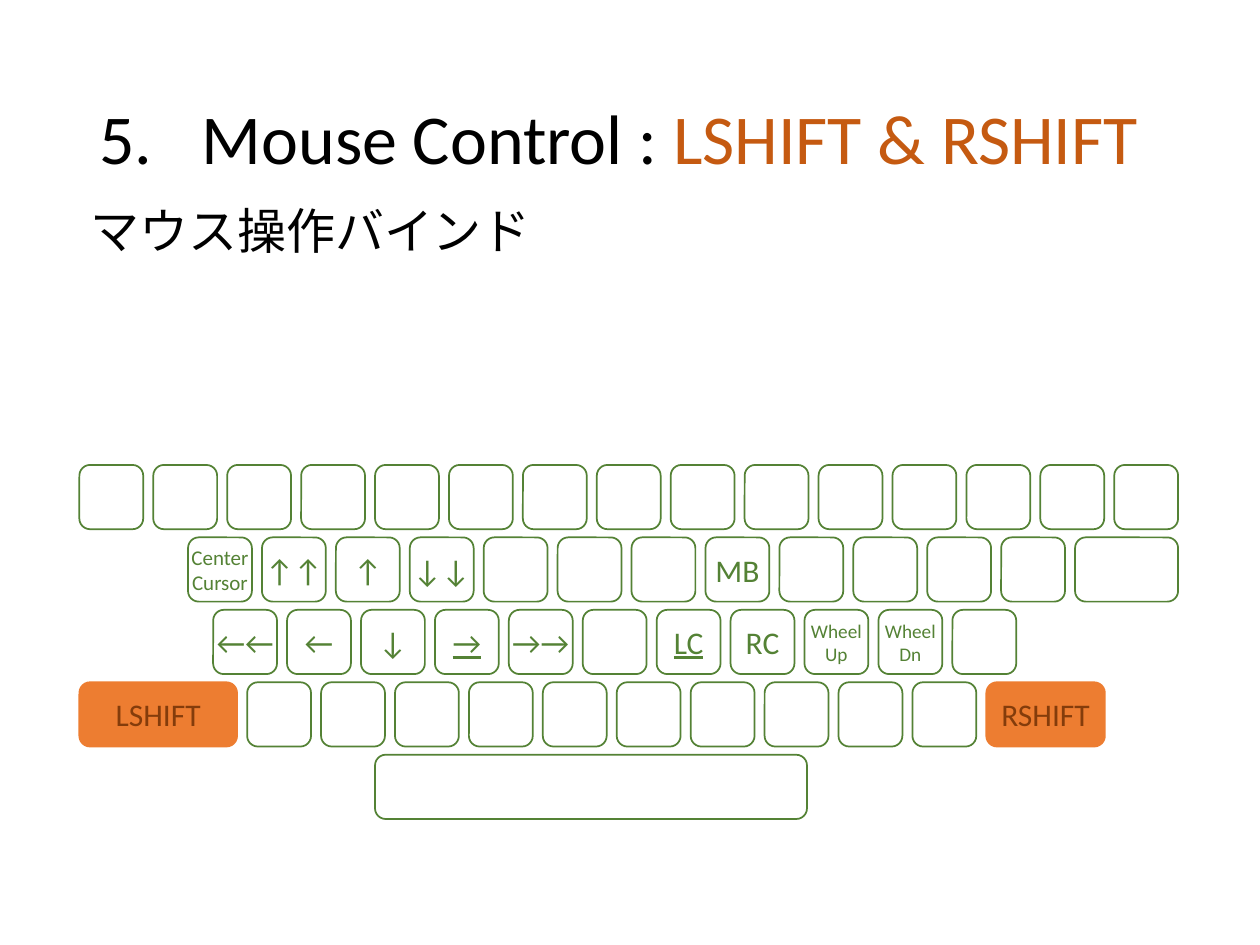
from dataclasses import dataclass

import pptx
import pptx.dml.color
import pptx.enum.shapes
import pptx.enum.text
import pptx.oxml
import pptx.oxml.ns
import pptx.util

GREEN, ORANGE, BROWN = "548235", "ED7D31", "843C0B"
BLACK, RUST = "000000", "C55A11"
WIDE, HIGH = 10, 7.5

# Keyboard grid: 15 columns, with a gap inside each cell
LEFT, TOP = 0.63, 3.69
COL, ROW = 8.8 / 15, 0.575
GAP, TALL = 0.08, 0.51

Inch = pptx.util.Inches
Align = pptx.enum.text.PP_ALIGN
Fit = pptx.enum.text.MSO_AUTO_SIZE


@dataclass
class Key:
    text: str = ""
    cols: float = 1
    size: float = 18
    line: bool = False
    shift: bool = False


@dataclass
class Row:
    start: float
    keys: list[Key]


def blank(count: int) -> list[Key]:
    return [Key() for _ in range(count)]


ROWS = [
    Row(0, blank(15)),
    Row(1.47, [Key("Center\nCursor", size=12), Key("↑↑"), Key("↑"), Key("↓↓"),
               *blank(3), Key("MB"), *blank(4), Key(cols=1.53)]),
    Row(1.81, [Key("←←"), Key("←"), Key("↓"), Key("→", line=True), Key("→→"),
               *blank(1), Key("LC", line=True), Key("RC"),
               Key("Wheel\nUp", size=11), Key("Wheel\nDn", size=11), *blank(1)]),
    Row(0, [Key("LSHIFT", 2.27, shift=True), *blank(10),
            Key("RSHIFT", 1.74, shift=True)]),
    Row(4, [Key(cols=5.98)]),
]


def paint(code: str) -> pptx.dml.color.RGBColor:
    return pptx.dml.color.RGBColor.from_string(code)


def add_run(para, text: str, size: float, code: str, line: bool = False) -> None:
    run = para.add_run()
    run.text = text
    run.font.name = "Calibri"
    run.font.size = pptx.util.Pt(size)
    run.font.color.rgb = paint(code)
    if line:
        run.font.underline = True


def draw_key(slide, key: Key, col: float, row: int) -> None:
    box = slide.shapes.add_shape(
        pptx.enum.shapes.MSO_SHAPE.ROUNDED_RECTANGLE,
        Inch(LEFT + col * COL), Inch(TOP + row * ROW),
        Inch(key.cols * COL - GAP), Inch(TALL))
    box.shadow.inherit = False
    box.line.color.rgb = paint(ORANGE if key.shift else GREEN)
    box.line.width = pptx.util.Pt(1)
    if key.shift:
        box.fill.solid()
        box.fill.fore_color.rgb = paint(ORANGE)
    else:
        box.fill.background()
    if not key.text:
        return
    frame = box.text_frame
    frame.word_wrap = False
    frame.vertical_anchor = pptx.enum.text.MSO_ANCHOR.MIDDLE
    for num, text in enumerate(key.text.split("\n")):
        para = frame.add_paragraph() if num else frame.paragraphs[0]
        para.alignment = Align.CENTER
        add_run(para, text, key.size, BROWN if key.shift else GREEN, key.line)


def draw_board(slide) -> None:
    for num, row in enumerate(ROWS):
        col = row.start
        for key in row.keys:
            draw_key(slide, key, col, num)
            col += key.cols


def draw_title(slide) -> None:
    title = slide.shapes.title
    title.left, title.top = Inch(0.069 * WIDE), Inch(0.4)
    title.width, title.height = Inch(0.862 * WIDE), Inch(1.45)
    frame = title.text_frame
    frame.auto_size = Fit.NONE
    frame.vertical_anchor = pptx.enum.text.MSO_ANCHOR.MIDDLE
    para = frame.paragraphs[0]
    para.alignment = Align.LEFT
    para.line_spacing = 0.9
    add_run(para, "Mouse Control : ", 40, BLACK)
    add_run(para, "LSHIFT & RSHIFT", 40, RUST)
    # Automatic number with a hanging indent
    props = para._p.get_or_add_pPr()
    props.set("marL", str(Inch(0.81)))
    props.set("indent", str(Inch(-0.81)))
    mark = pptx.oxml.parse_xml(
        f'<a:buAutoNum {pptx.oxml.ns.nsdecls("a")} type="arabicPeriod" startAt="5"/>')
    props.append(mark)


def draw_note(slide) -> None:
    box = slide.shapes.add_textbox(
        Inch(0.062 * WIDE), Inch(1.54), Inch(0.873 * WIDE), Inch(0.57))
    box.text_frame.word_wrap = True
    box.text_frame.auto_size = Fit.SHAPE_TO_FIT_TEXT
    add_run(box.text_frame.paragraphs[0], "マウス操作バインド", 28, BLACK)


def main() -> None:
    deck = pptx.Presentation()
    deck.slide_width, deck.slide_height = Inch(WIDE), Inch(HIGH)
    slide = deck.slides.add_slide(deck.slide_layouts[5])
    draw_title(slide)
    draw_board(slide)
    draw_note(slide)
    deck.save("out.pptx")


if __name__ == "__main__":
    main()
